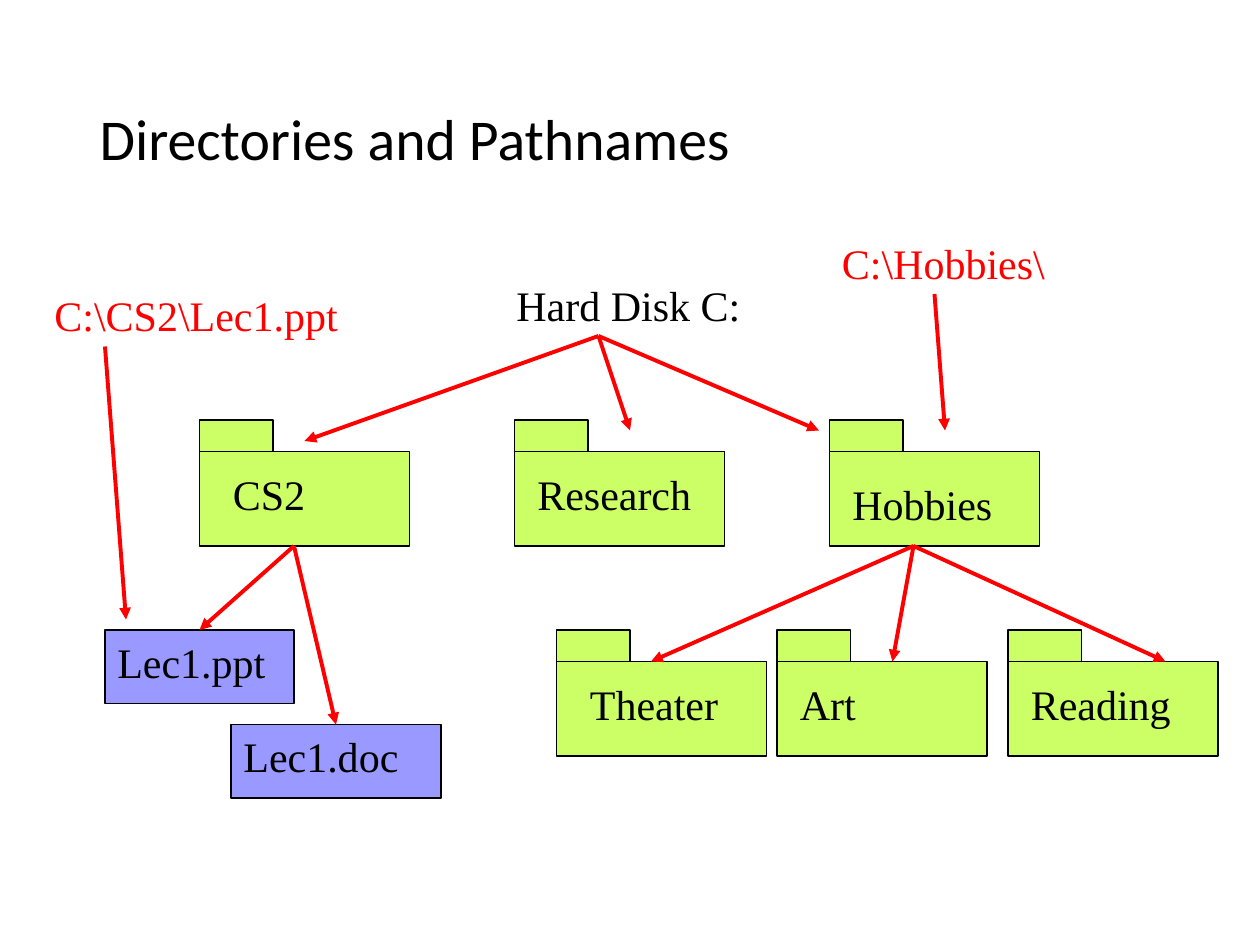
import pptx
import pptx.util
import pptx.dml.color
import pptx.enum.shapes
import pptx.enum.text
from lxml import etree

COLORS = {"folder": "CCFF66", "file": "9999FF", "text": "000000", "path": "FF0000"}
FONT = "Times New Roman"

# Grid: 120 columns by 90 rows, 12 cells to the inch
CELL = pptx.util.Inches(1) // 12
BODY_W, BODY_H, TAB_W, TAB_H = 20, 9, 7, 3
FILE_H, LABEL_H = 7, 6

TITLE = "Directories and Pathnames"
# name, left, top of the folder tab, label offset from the body, label width
FOLDERS = [
    ("CS2", 19, 40, (2, 1), 15),
    ("Research", 49, 40, (1, 1), 19),
    ("Hobbies", 79, 40, (1, 2), 18),
    ("Theater", 53, 60, (2, 1), 16),
    ("Art", 74, 60, (1, 1), 17),
    ("Reading", 96, 60, (1, 1), 18),
]
# name, left, top, width
FILES = [("Lec1.ppt", 10, 60, 18), ("Lec1.doc", 22, 69, 20)]
# text, left, top, width, colour
LABELS = [
    ("Hard Disk C:", 48, 26, 28, "text"),
    ("C:\\CS2\\Lec1.ppt", 4, 27, 40, "path"),
    ("C:\\Hobbies\\", 79, 22, 33, "path"),
]
# start point, end points
ARROWS = [
    ((57, 32), [(29, 42), (60, 41), (78, 41)]),    # disk to folders
    ((28, 52), [(19, 60), (32, 69)]),              # CS2 to files
    ((87, 52), [(62, 63), (85, 63), (111, 63)]),   # Hobbies to folders
    ((10, 33), [(12, 59)]),                        # pathname to Lec1.ppt
    ((89, 28), [(90, 41)]),                        # pathname to Hobbies
]


def rgb(name):
    return pptx.dml.color.RGBColor.from_string(COLORS[name])


def cells(*values):
    return [value * CELL for value in values]


def write(sp, text, color="text"):
    tf = sp.text_frame
    tf.word_wrap = True
    tf.vertical_anchor = pptx.enum.text.MSO_ANCHOR.TOP
    p = tf.paragraphs[0]
    p.text = text
    p.alignment = pptx.enum.text.PP_ALIGN.LEFT
    p.font.name = FONT
    p.font.size = pptx.util.Pt(24)
    p.font.color.rgb = rgb(color)


def add_label(slide, text, x, y, w, color="text"):
    write(slide.shapes.add_textbox(*cells(x, y, w, LABEL_H)), text, color)


def add_box(slide, x, y, w, h, fill):
    sp = slide.shapes.add_shape(pptx.enum.shapes.MSO_SHAPE.RECTANGLE, *cells(x, y, w, h))
    sp.shadow.inherit = False
    sp.fill.solid()
    sp.fill.fore_color.rgb = rgb(fill)
    sp.line.color.rgb = rgb("text")
    sp.line.width = pptx.util.Pt(0.75)
    return sp


def add_folder(slide, name, x, y, offset, label_w):
    body_y = y + TAB_H
    add_box(slide, x, body_y, BODY_W, BODY_H, "folder")
    add_box(slide, x, y, TAB_W, TAB_H, "folder")
    add_label(slide, name, x + offset[0], body_y + offset[1], label_w)


def add_arrow(slide, start, end):
    line = slide.shapes.add_connector(
        pptx.enum.shapes.MSO_CONNECTOR.STRAIGHT, *cells(*start, *end))
    line.line.color.rgb = rgb("path")
    line.line.width = pptx.util.Pt(2.25)
    ns = pptx.oxml.ns.qn
    etree.SubElement(line.line._get_or_add_ln(), ns("a:tailEnd"), type="triangle")
    etree.SubElement(line._element.spPr, ns("a:effectLst"))


def main():
    prs = pptx.Presentation()
    prs.slide_width, prs.slide_height = cells(120, 90)
    slide = prs.slides.add_slide(prs.slide_layouts[5])

    # Title
    title = slide.shapes.title
    title.left, title.top = pptx.util.Inches(0.69), pptx.util.Inches(0.4)
    title.width, title.height = pptx.util.Inches(8.62), pptx.util.Inches(1.45)
    title.text_frame.vertical_anchor = pptx.enum.text.MSO_ANCHOR.MIDDLE
    p = title.text_frame.paragraphs[0]
    p.text = TITLE
    p.alignment = pptx.enum.text.PP_ALIGN.LEFT
    p.line_spacing = 0.9
    p.font.name = "Calibri"
    p.font.size = pptx.util.Pt(33)
    p.font.color.rgb = rgb("text")

    # Directory tree
    for folder in FOLDERS:
        add_folder(slide, *folder)
    for name, x, y, w in FILES:
        write(add_box(slide, x, y, w, FILE_H, "file"), name)

    # Disk and pathname labels
    for label in LABELS:
        add_label(slide, *label)

    # Arrows
    for start, ends in ARROWS:
        for end in ends:
            add_arrow(slide, start, end)

    prs.save("out.pptx")


if __name__ == "__main__":
    main()
